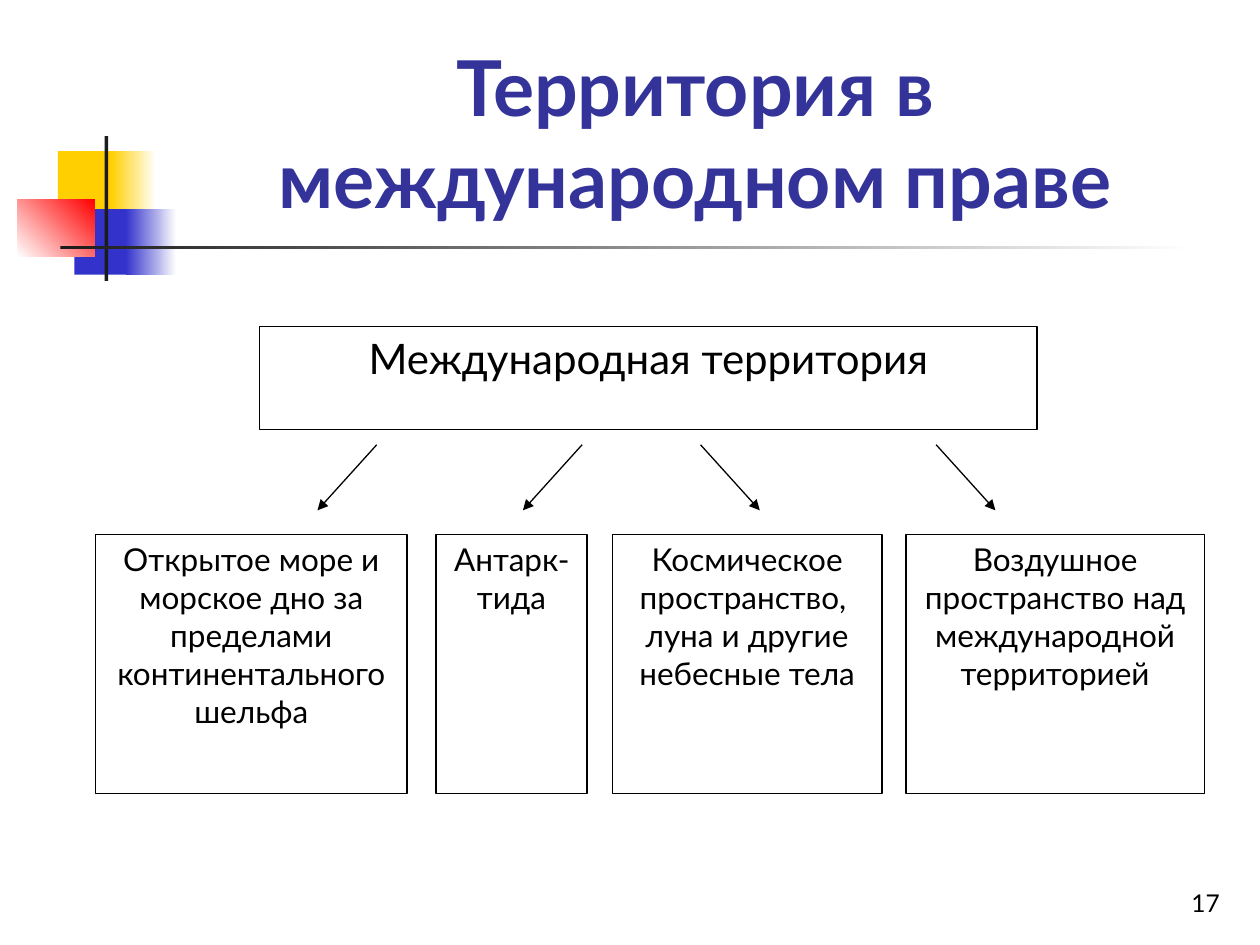
from collections import namedtuple

from lxml import etree
from pptx import Presentation
from pptx.dml.color import RGBColor
from pptx.enum.shapes import MSO_CONNECTOR, MSO_SHAPE
from pptx.enum.text import MSO_ANCHOR, PP_ALIGN
from pptx.oxml.ns import qn
from pptx.util import Inches, Pt

RECT = MSO_SHAPE.RECTANGLE
LINE = MSO_CONNECTOR.STRAIGHT
TOP, LOW = MSO_ANCHOR.TOP, MSO_ANCHOR.BOTTOM
MID, RIGHT = PP_ALIGN.CENTER, PP_ALIGN.RIGHT
FONT = "Lato"
COLS, ROWS = 100, 75
HEX = {
    "white": "FFFFFF", "black": "000000", "dark": "1C1C1C", "title": "333399",
    "gold": "FFCF01", "blue": "3333CC", "red": "FF0000",
}
LEAVES = [
    (0, 24.7, 22.3, -4.7,
     "Открытое море и морское дно за пределами континентального шельфа"),
    (27, 12, 38.6, -4.7, "Антарк-тида"),
    (41, 21.4, 48, 4.7,
     "Космическое пространство,  луна и другие небесные тела"),
    (64.3, 23.7, 66.7, 4.7,
     "Воздушное пространство над международной территорией"),
]

Box = namedtuple("Box", "x y w h")


def cell(count):
    """Turn grid units into a length."""
    return Inches(count / 10)


def tint(name):
    """Look up a colour by name."""
    return RGBColor.from_string(HEX[name])


def part(box, x, y, w, h):
    """Return a box offset inside another one."""
    return Box(box.x + x, box.y + y, w, h)


def block(slide, box, hue, end=None, turn=0):
    """Draw a plain or fading rectangle without an outline."""
    shape = slide.shapes.add_shape(RECT, *map(cell, box))
    shape.shadow.inherit = False
    shape.line.fill.background()
    if end is None:
        shape.fill.solid()
        shape.fill.fore_color.rgb = tint(hue)
    else:
        shape.fill.gradient()
        shape.fill.gradient_angle = turn
        for stop, name in zip(shape.fill.gradient_stops, (hue, end)):
            stop.color.rgb = tint(name)
    return shape


def write(shape, text, size, align=MID, anchor=TOP, hue="black", bold=False):
    """Fill a shape with one wrapped paragraph."""
    frame = shape.text_frame
    frame.word_wrap = True
    frame.vertical_anchor = anchor
    para = frame.paragraphs[0]
    para.alignment = align
    run = para.add_run()
    run.text = text
    font = run.font
    font.name, font.size, font.bold = FONT, Pt(size), bold
    font.color.rgb = tint(hue)


def label(slide, box, text, size, **style):
    """Place free text in a box."""
    write(slide.shapes.add_textbox(*map(cell, box)), text, size, **style)


def node(slide, box, text, size):
    """Draw an outlined box with its text."""
    shape = block(slide, box, "white")
    shape.line.color.rgb = tint("black")
    shape.line.width = Pt(0.75)
    write(shape, text, size)


def arrow(slide, box):
    """Draw an arrow across a box from its start corner."""
    ends = (box.x, box.y, box.x + box.w, box.y + box.h)
    link = slide.shapes.add_connector(LINE, *map(cell, ends))
    link.line.color.rgb = tint("black")
    link.line.width = Pt(0.75)
    etree.SubElement(link.line._get_or_add_ln(), qn("a:tailEnd"), type="triangle")
    etree.SubElement(link._element.spPr, qn("a:effectLst"))


def emblem(slide, box):
    """Draw the coloured squares and the crossing bars."""
    block(slide, part(box, 3.2, 1.2, 4.8, 5.2), "gold")
    block(slide, part(box, 7.4, 1.2, 3.6, 5.2), "gold", "white")
    block(slide, part(box, 4.5, 5.8, 4.6, 5.2), "blue")
    block(slide, part(box, 8.6, 5.8, 4, 5.2), "blue", "white")
    block(slide, part(box, 0, 5, 6.1, 4.6), "white", "red", 45)
    block(slide, part(box, 6.9, 0, 0.3, box.h), "dark")
    block(slide, part(box, 3.4, 8.7, 90, 0.3), "dark", "white")


def tree(slide, box):
    """Draw the root box, its arrows and the four leaves."""
    node(slide, part(box, 13, 0, 61.7, 8.2), "Международная территория", 24)
    for left, wide, start, shift, text in LEAVES:
        node(slide, part(box, left, 16.5, wide, 20.6), text, 18)
        arrow(slide, part(box, start, 9.4, shift, 5.2))


def main():
    """Build and save the slide."""
    deck = Presentation()
    deck.slide_width, deck.slide_height = cell(COLS), cell(ROWS)
    slide = deck.slides.add_slide(deck.slide_layouts[6])
    emblem(slide, Box(1.4, 10.8, 93.4, 11.5))
    label(slide, Box(77, 68.3, 20.8, 5), "17", 14, align=RIGHT, anchor=LOW)
    label(slide, Box(12.6, 2.3, 85.2, 16), "Территория в международном праве",
          44, anchor=LOW, hue="title", bold=True)
    tree(slide, Box(7.6, 25.9, 88, 37.1))
    deck.save("out.pptx")


if __name__ == "__main__":
    main()
